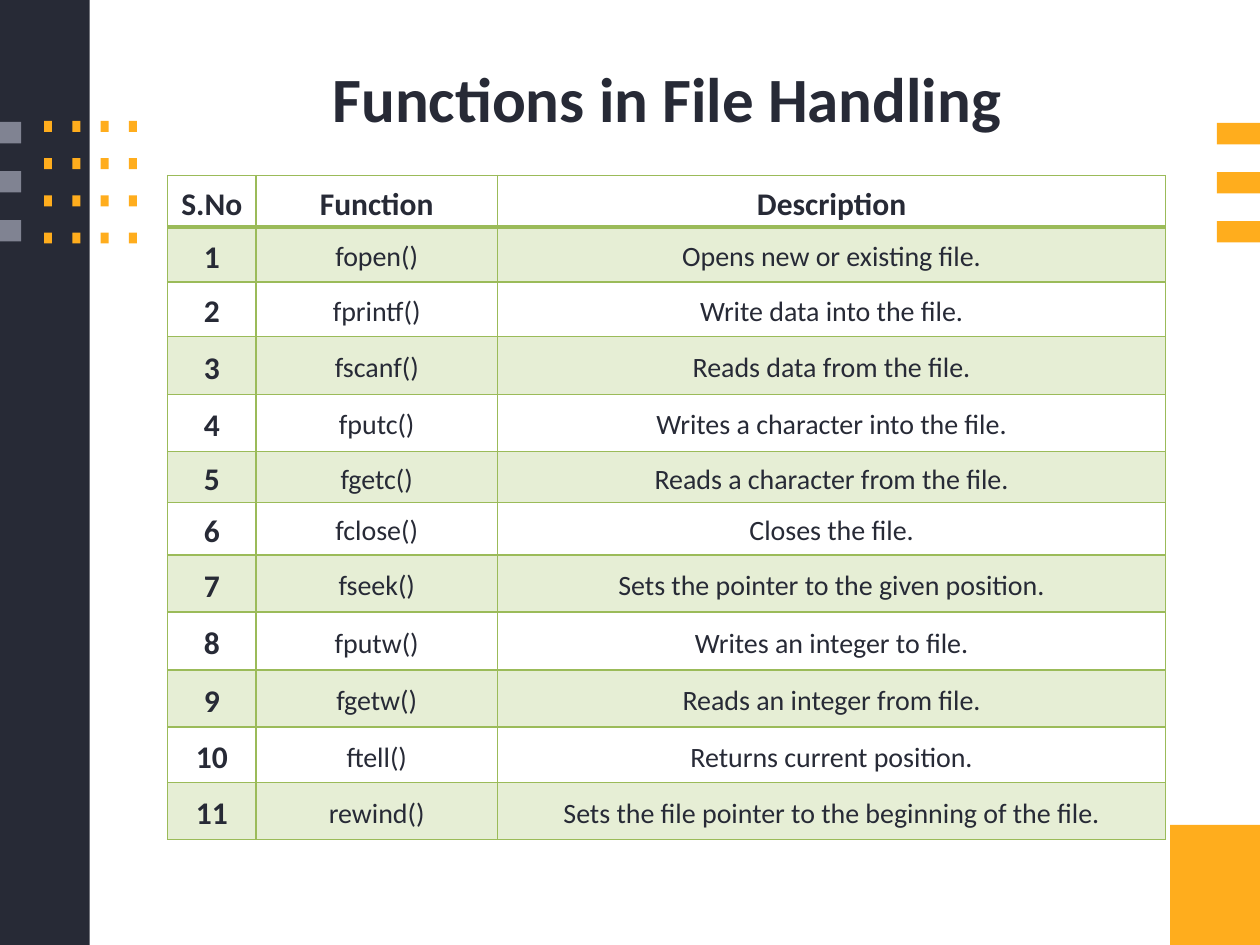
from itertools import product

from lxml.etree import SubElement
from pptx import Presentation
from pptx.dml.color import RGBColor
from pptx.enum.shapes import MSO_SHAPE
from pptx.enum.text import MSO_ANCHOR, PP_ALIGN
from pptx.oxml.ns import qn
from pptx.util import Cm, Pt

HUES = {
    "dark": "272A36",
    "gray": "808392",
    "gold": "FFAD1D",
    "green": "9BBB59",
    "pale": "E6EED5",
}
HEAD = ("S.No", "Function", "Description")
ITEMS = [
    ("fopen()", "Opens new or existing file."),
    ("fprintf()", "Write data into the file."),
    ("fscanf()", "Reads data from the file."),
    ("fputc()", "Writes a character into the file."),
    ("fgetc()", "Reads a character from the file."),
    ("fclose()", "Closes the file."),
    ("fseek()", "Sets the pointer to the given position."),
    ("fputw()", "Writes an integer to file."),
    ("fgetw()", "Reads an integer from file."),
    ("ftell()", "Returns current position."),
    ("rewind()", "Sets the file pointer to the beginning of the file."),
]
WIDTHS = (1.78, 4.87, 13.47)
HEIGHTS = (1.04, 1.1, 1.1, 1.17, 1.15, 1.03, 1.06, 1.15, 1.17, 1.15, 1.12, 1.15)


def color(name):
    return RGBColor.from_string(HUES[name])


def write(frame, text, size=16, bold=False, hue="dark", space=None):
    para = frame.paragraphs[0]
    para.alignment = PP_ALIGN.CENTER
    para.line_spacing = space
    run = para.add_run()
    run.text = text
    font = run.font
    font.name, font.size, font.bold = "Calibri", Pt(size), bold
    font.color.rgb = color(hue)


def block(slide, left, top, width, height, hue):
    shape = slide.shapes.add_shape(
        MSO_SHAPE.RECTANGLE, Cm(left), Cm(top), Cm(width), Cm(height))
    shape.shadow.inherit = False
    shape.fill.solid()
    shape.fill.fore_color.rgb = color(hue)
    shape.line.fill.background()


def edge(cell, side, width):
    line = SubElement(cell._tc.get_or_add_tcPr(), qn("a:ln" + side), w=str(Pt(width)))
    fill = SubElement(line, qn("a:solidFill"))
    SubElement(fill, qn("a:srgbClr"), val=HUES["green"])


def style(cell, row):
    cell.vertical_anchor = MSO_ANCHOR.MIDDLE
    cell.margin_left = cell.margin_right = Cm(0.18)
    cell.margin_top = cell.margin_bottom = 0
    # The rule under the header row is heavier
    thick = {("B", 0), ("T", 1)}
    for side in "LRTB":
        edge(cell, side, 2.25 if (side, row) in thick else 1)
    if row % 2:
        cell.fill.solid()
        cell.fill.fore_color.rgb = color("pale")
    else:
        cell.fill.background()


def decor(slide):
    # Corner block and side band
    block(slide, 23.59, 16.63, 1.81, 2.42, "gold")
    block(slide, 0, 0, 1.81, 19.05, "dark")
    # Bars at both edges
    for i in range(3):
        block(slide, 0, 2.46 + i * 0.99, 0.43, 0.43, "gray")
        block(slide, 24.53, 2.48 + i * 0.99, 0.87, 0.43, "gold")
    # Grid of dots
    for row, col in product(range(4), repeat=2):
        block(slide, 0.89 + col * 0.57, 2.44 + row * 0.75, 0.16, 0.22, "gold")


def title(slide, text):
    box = slide.shapes.add_textbox(Cm(2.97), Cm(1.07), Cm(20.96), Cm(1.8))
    box.text_frame.word_wrap = True
    write(box.text_frame, text, size=36, bold=True)


def grid(slide):
    rows = [HEAD] + [(str(i), *item) for i, item in enumerate(ITEMS, 1)]
    frame = slide.shapes.add_table(
        len(rows), len(HEAD), Cm(3.38), Cm(3.54), Cm(sum(WIDTHS)), Cm(sum(HEIGHTS)))
    table = frame.table
    table.first_row = table.horz_banding = False
    for col, width in zip(table.columns, WIDTHS):
        col.width = Cm(width)
    for row, height in zip(table.rows, HEIGHTS):
        row.height = Cm(height)
    for r, texts in enumerate(rows):
        for c, text in enumerate(texts):
            cell = table.cell(r, c)
            style(cell, r)
            bold = r == 0 or c == 0
            write(cell.text_frame, text, size=18 if bold else 16, bold=bold, space=1.15)


def main():
    deck = Presentation()
    deck.slide_width, deck.slide_height = Cm(25.4), Cm(19.05)
    slide = deck.slides.add_slide(deck.slide_layouts[6])
    decor(slide)
    title(slide, "Functions in File Handling")
    grid(slide)
    deck.save("out.pptx")


main()
